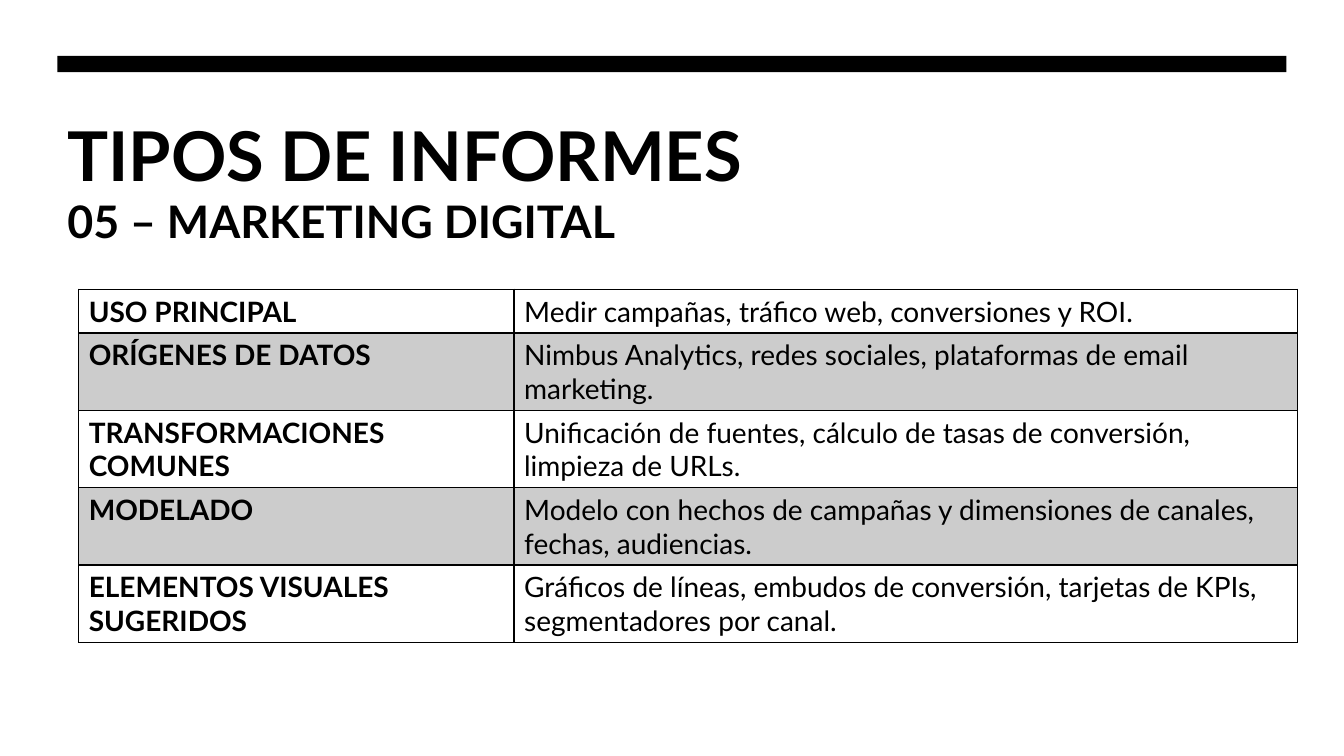
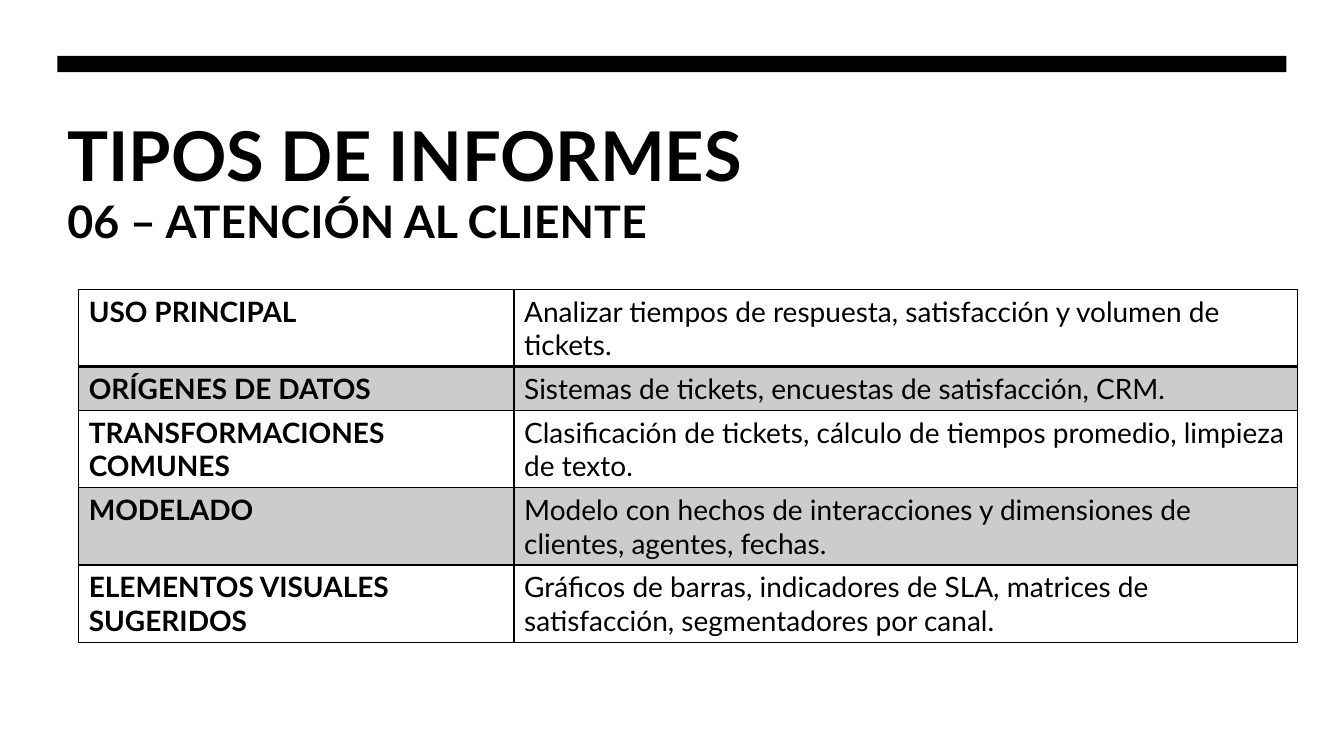
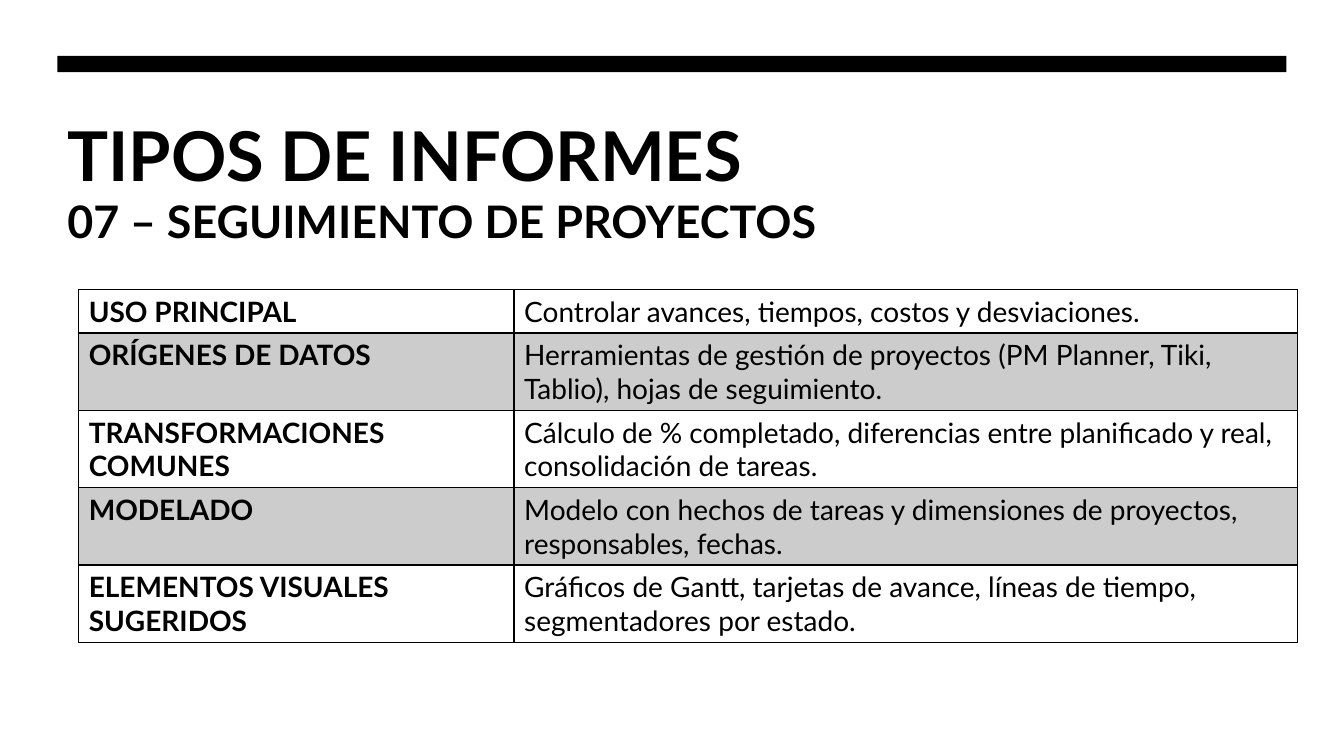
from lxml.etree import SubElement
from pptx import Presentation
from pptx.dml.color import RGBColor
from pptx.enum.shapes import MSO_SHAPE as Shape
from pptx.oxml.ns import qn
from pptx.util import Pt

TITLE = "TIPOS DE INFORMES"
LABELS = [
    "USO PRINCIPAL",
    "ORÍGENES DE DATOS",
    "TRANSFORMACIONES COMUNES",
    "MODELADO",
    "ELEMENTOS VISUALES SUGERIDOS",
]
REPORTS = [
    ("05 – MARKETING DIGITAL", [
        "Medir campañas, tráfico web, conversiones y ROI.",
        "Nimbus Analytics, redes sociales, plataformas de email marketing.",
        "Unificación de fuentes, cálculo de tasas de conversión, limpieza de URLs.",
        "Modelo con hechos de campañas y dimensiones de canales, fechas, audiencias.",
        "Gráficos de líneas, embudos de conversión, tarjetas de KPIs, segmentadores por canal.",
    ]),
    ("06 – ATENCIÓN AL CLIENTE", [
        "Analizar tiempos de respuesta, satisfacción y volumen de tickets.",
        "Sistemas de tickets, encuestas de satisfacción, CRM.",
        "Clasificación de tickets, cálculo de tiempos promedio, limpieza de texto.",
        "Modelo con hechos de interacciones y dimensiones de clientes, agentes, fechas.",
        "Gráficos de barras, indicadores de SLA, matrices de satisfacción, segmentadores por canal.",
    ]),
    ("07 – SEGUIMIENTO DE PROYECTOS", [
        "Controlar avances, tiempos, costos y desviaciones.",
        "Herramientas de gestión de proyectos (PM Planner, Tiki, Tablio), hojas de seguimiento.",
        "Cálculo de % completado, diferencias entre planificado y real, consolidación de tareas.",
        "Modelo con hechos de tareas y dimensiones de proyectos, responsables, fechas.",
        "Gráficos de Gantt, tarjetas de avance, líneas de tiempo, segmentadores por estado.",
    ]),
]


def rgb(color):
    return RGBColor.from_string(color)


class Deck:
    FONT = "Lato"
    INK = "000000"
    SHADE = "CCCCCC"
    LEFT = 41
    WIDTH = 878

    def __init__(self):
        self.prs = Presentation()
        self.prs.slide_width, self.prs.slide_height = Pt(960), Pt(540)

    def new_slide(self):
        self.s = self.prs.slides.add_slide(self.prs.slide_layouts[6])

    def style(self, p, size, bold):
        p.font.name = self.FONT
        p.font.size = Pt(size)
        p.font.bold = bold
        p.font.color.rgb = rgb(self.INK)

    def bar(self, top, height):
        sp = self.s.shapes.add_shape(
            Shape.RECTANGLE, Pt(self.LEFT), Pt(top), Pt(self.WIDTH), Pt(height))
        sp.shadow.inherit = False
        sp.fill.solid()
        sp.fill.fore_color.rgb = rgb(self.INK)
        sp.line.fill.background()

    def heading(self, text, top, height, size):
        sp = self.s.shapes.add_textbox(
            Pt(self.LEFT), Pt(top), Pt(self.WIDTH), Pt(height))
        tf = sp.text_frame
        tf.word_wrap = True
        p = tf.paragraphs[0]
        p.text = text
        self.style(p, size, True)

    def borders(self, cell, bottom):
        tc_pr = cell._tc.get_or_add_tcPr()
        for side, width in (("L", 1), ("R", 1), ("T", 1), ("B", bottom)):
            ln = SubElement(tc_pr, qn(f"a:ln{side}"), w=str(Pt(width)))
            fill = SubElement(ln, qn("a:solidFill"))
            SubElement(fill, qn("a:srgbClr"), val=self.INK)

    def table(self, rows, left, top, widths, row_height):
        frame = self.s.shapes.add_table(
            len(rows), len(widths), Pt(left), Pt(top),
            Pt(sum(widths)), Pt(row_height * len(rows)))
        table = frame.table
        table.first_row = table.horz_banding = False
        for column, width in zip(table.columns, widths):
            column.width = Pt(width)
        for i, row in enumerate(rows):
            for j, text in enumerate(row):
                cell = table.cell(i, j)
                p = cell.text_frame.paragraphs[0]
                p.text = text
                self.style(p, 20, j == 0)
                self.borders(cell, 2 if i == 0 else 1)
                if i % 2:
                    cell.fill.solid()
                    cell.fill.fore_color.rgb = rgb(self.SHADE)
                else:
                    cell.fill.background()


def main():
    deck = Deck()
    for subtitle, details in REPORTS:
        deck.new_slide()
        deck.bar(40, 11.5)
        deck.heading(TITLE, 77, 59, 49)
        deck.heading(subtitle, 134.5, 46, 32)
        deck.table(list(zip(LABELS, details)), 56.2, 206.6, (311, 559.5), 29.5)
    deck.prs.save("out.pptx")


if __name__ == "__main__":
    main()
